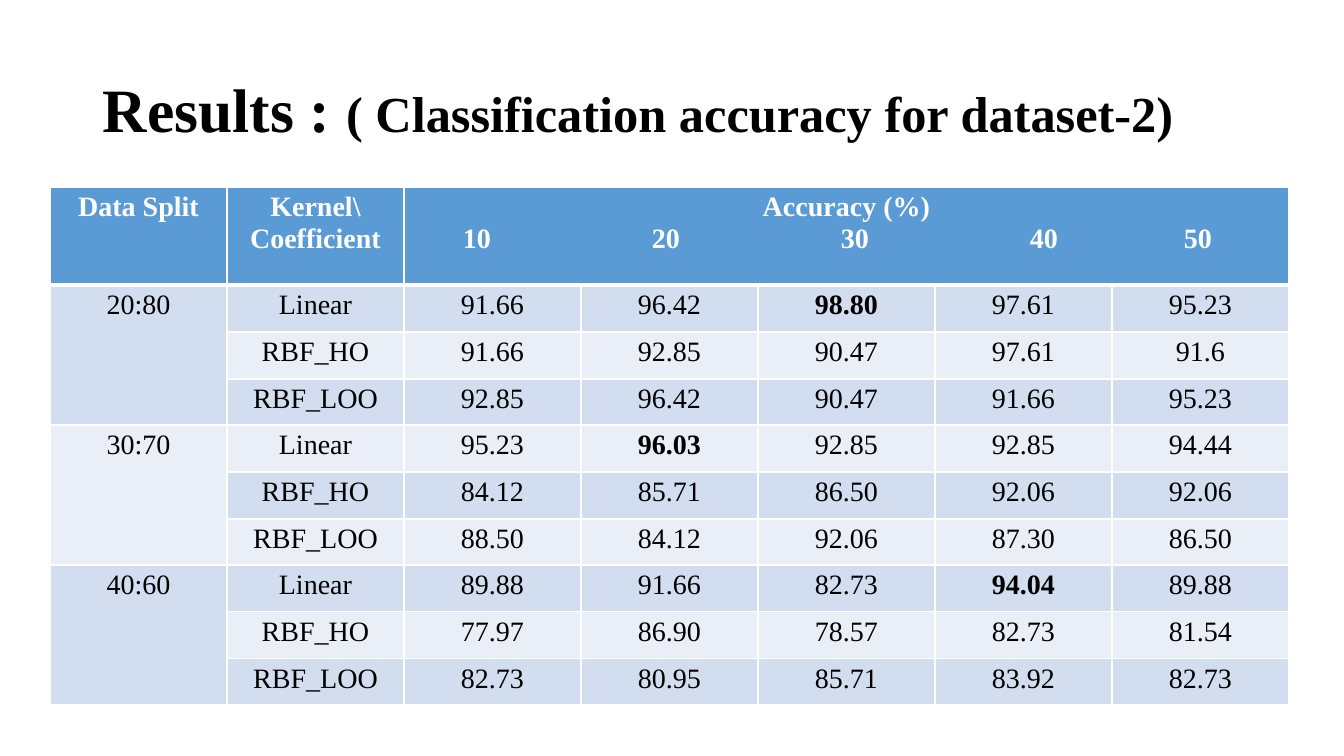
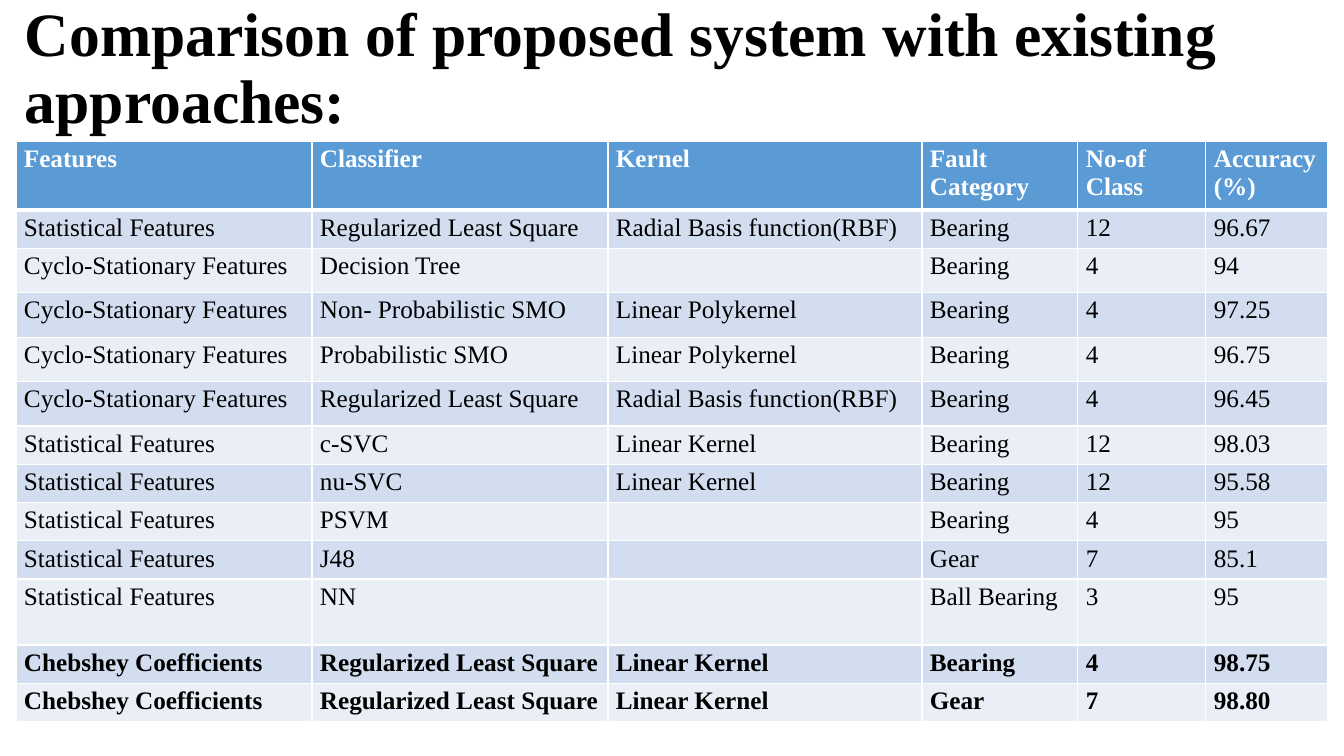
import dataclasses

import lxml.etree
import pptx
import pptx.dml.color
import pptx.enum.text
import pptx.oxml.ns
import pptx.util

PIXEL = 914400 / 100.8
ALIGN = pptx.enum.text.PP_ALIGN


@dataclasses.dataclass(frozen=True)
class Theme:
    font: str = "Times New Roman"
    text: str = "000000"
    light: str = "FFFFFF"
    header: str = "5B9BD5"
    bands: tuple = ("D2DEEF", "EAEFF7")
    title_size: int = 44
    subtitle_size: int = 36
    results_size: int = 20
    comparison_size: int = 18
    thin: float = 1
    thick: float = 3


theme = Theme()


def add_run(paragraph, text, size, color, bold):
    run = paragraph.add_run()
    run.text = text
    run.font.name = theme.font
    run.font.size = pptx.util.Pt(size)
    run.font.bold = bold
    run.font.color.rgb = pptx.dml.color.RGBColor.from_string(color)


def add_table(slide, left, top, widths, heights, rows, size, alignment, inset):
    """Fill a banded table; a leading * marks a bold value."""
    frame = slide.shapes.add_table(
        len(rows), len(widths),
        *(round(n * PIXEL) for n in (left, top, sum(widths), sum(heights))))
    table = frame.table
    for column, width in zip(table.columns, widths):
        column.width = round(width * PIXEL)
    for row, height in zip(table.rows, heights):
        row.height = round(height * PIXEL)

    for row_index, values in enumerate(rows):
        is_header = row_index == 0
        fill = theme.header if is_header else theme.bands[(row_index - 1) % 2]
        color = theme.light if is_header else theme.text
        for column_index, value in enumerate(values):
            cell = table.cell(row_index, column_index)
            cell.margin_left = cell.margin_right = round(inset[0] * PIXEL)
            cell.margin_top = cell.margin_bottom = round(inset[1] * PIXEL)
            cell.fill.solid()
            cell.fill.fore_color.rgb = pptx.dml.color.RGBColor.from_string(fill)
            paragraph = cell.text_frame.paragraphs[0]
            paragraph.alignment = alignment
            paragraph.font.size = pptx.util.Pt(size)
            if value:
                add_run(paragraph, value.lstrip("*"), size, color,
                        is_header or value.startswith("*"))

            # White borders, with a heavier rule under the header
            properties = cell._tc.get_or_add_tcPr()
            for position, side in enumerate(("lnL", "lnR", "lnT", "lnB")):
                heavy = (row_index, side) in ((0, "lnB"), (1, "lnT"))
                line = lxml.etree.Element(pptx.oxml.ns.qn("a:" + side))
                line.set("w", str(pptx.util.Pt(theme.thick if heavy else theme.thin)))
                solid = lxml.etree.SubElement(line, pptx.oxml.ns.qn("a:solidFill"))
                lxml.etree.SubElement(
                    solid, pptx.oxml.ns.qn("a:srgbClr"), val=theme.light)
                properties.insert(position, line)
    return table


presentation = pptx.Presentation()
presentation.slide_width = round(1344 * PIXEL)
presentation.slide_height = round(756 * PIXEL)

# Slides and their titles
titles = [
    ((93, 40, 1159, 146),
     [("Results : ", theme.title_size),
      ("( Classification accuracy for dataset-2)", theme.subtitle_size)]),
    ((15, -3, 1424, 146),
     [("Comparison of proposed system with existing approaches:", theme.title_size)]),
]
for box, parts in titles:
    slide = presentation.slides.add_slide(presentation.slide_layouts[6])
    shape = slide.shapes.add_textbox(*(round(n * PIXEL) for n in box))
    shape.text_frame.word_wrap = True
    shape.text_frame.vertical_anchor = pptx.enum.text.MSO_ANCHOR.MIDDLE
    paragraph = shape.text_frame.paragraphs[0]
    paragraph.line_spacing = 0.9
    for text, size in parts:
        add_run(paragraph, text, size, theme.text, True)
results_slide, comparison_slide = presentation.slides

# Results: three kernels for each data split
kernels = ["Linear", "RBF_HO", "RBF_LOO"]
accuracies = {
    "20:80": ["91.66 96.42 *98.80 97.61 95.23",
              "91.66 92.85 90.47 97.61 91.6",
              "92.85 96.42 90.47 91.66 95.23"],
    "30:70": ["95.23 *96.03 92.85 92.85 94.44",
              "84.12 85.71 86.50 92.06 92.06",
              "88.50 84.12 92.06 87.30 86.50"],
    "40:60": ["89.88 91.66 82.73 *94.04 89.88",
              "77.97 86.90 78.57 82.73 81.54",
              "82.73 80.95 85.71 83.92 82.73"],
}
results = [["Data Split", "Kernel\\ Coefficient", "Accuracy (%)"] + [""] * 4]
for split, lines in accuracies.items():
    for index, (kernel, line) in enumerate(zip(kernels, lines)):
        results.append(["" if index else split, kernel] + line.split())

table = add_table(results_slide, 50, 187, [177] * 7, [98] + [47, 47, 46] * 3,
                  results, theme.results_size, ALIGN.CENTER, (10, 5))
accuracy_cell = table.cell(0, 2)
accuracy_cell.merge(table.cell(0, 6))
for first in (1, 4, 7):
    table.cell(first, 0).merge(table.cell(first + 2, 0))

# Coefficient counts, set on tab stops below the accuracy heading
paragraph = accuracy_cell.text_frame.add_paragraph()
paragraph.alignment = ALIGN.LEFT
tab_list = lxml.etree.SubElement(
    paragraph._p.get_or_add_pPr(), pptx.oxml.ns.qn("a:tabLst"))
for stop in (49, 238, 427, 616, 770):
    lxml.etree.SubElement(tab_list, pptx.oxml.ns.qn("a:tab"),
                          pos=str(round(stop * PIXEL)), algn="l")
add_run(paragraph, "\t10\t20\t30\t40\t50", theme.results_size, theme.light, True)

# Comparison with existing approaches
statistical = "Statistical Features"
cyclic = "Cyclo-Stationary Features"
chebyshev = "*Chebshey Coefficients"
least_square = "Regularized Least Square"
radial = "Radial Basis function(RBF)"
polykernel = "Linear Polykernel"
linear = "Linear Kernel"
comparison = [
    ["Features", "Classifier", "Kernel", "Fault Category", "No-of Class", "Accuracy(%)"],
    [statistical, least_square, radial, "Bearing", "12", "96.67"],
    [cyclic, "Decision Tree", "", "Bearing", "4", "94"],
    [cyclic, "Non- Probabilistic SMO", polykernel, "Bearing", "4", "97.25"],
    [cyclic, "Probabilistic SMO", polykernel, "Bearing", "4", "96.75"],
    [cyclic, least_square, radial, "Bearing", "4", "96.45"],
    [statistical, "c-SVC", linear, "Bearing", "12", "98.03"],
    [statistical, "nu-SVC", linear, "Bearing", "12", "95.58"],
    [statistical, "PSVM", "", "Bearing", "4", "95"],
    [statistical, "J48", "", "Gear", "7", "85.1"],
    [statistical, "NN", "", "Ball Bearing", "3", "95"],
    [chebyshev, "*" + least_square, "*" + linear, "*Bearing", "*4", "*98.75"],
    [chebyshev, "*" + least_square, "*" + linear, "*Gear", "*7", "*98.80"],
]
add_table(comparison_slide, 16, 141, [296, 296, 314, 156, 128, 122],
          [69, 37] + [44, 45] * 2 + [37] * 4 + [66, 37, 37],
          comparison, theme.comparison_size, ALIGN.LEFT, (8, 4))

presentation.save("out.pptx")
